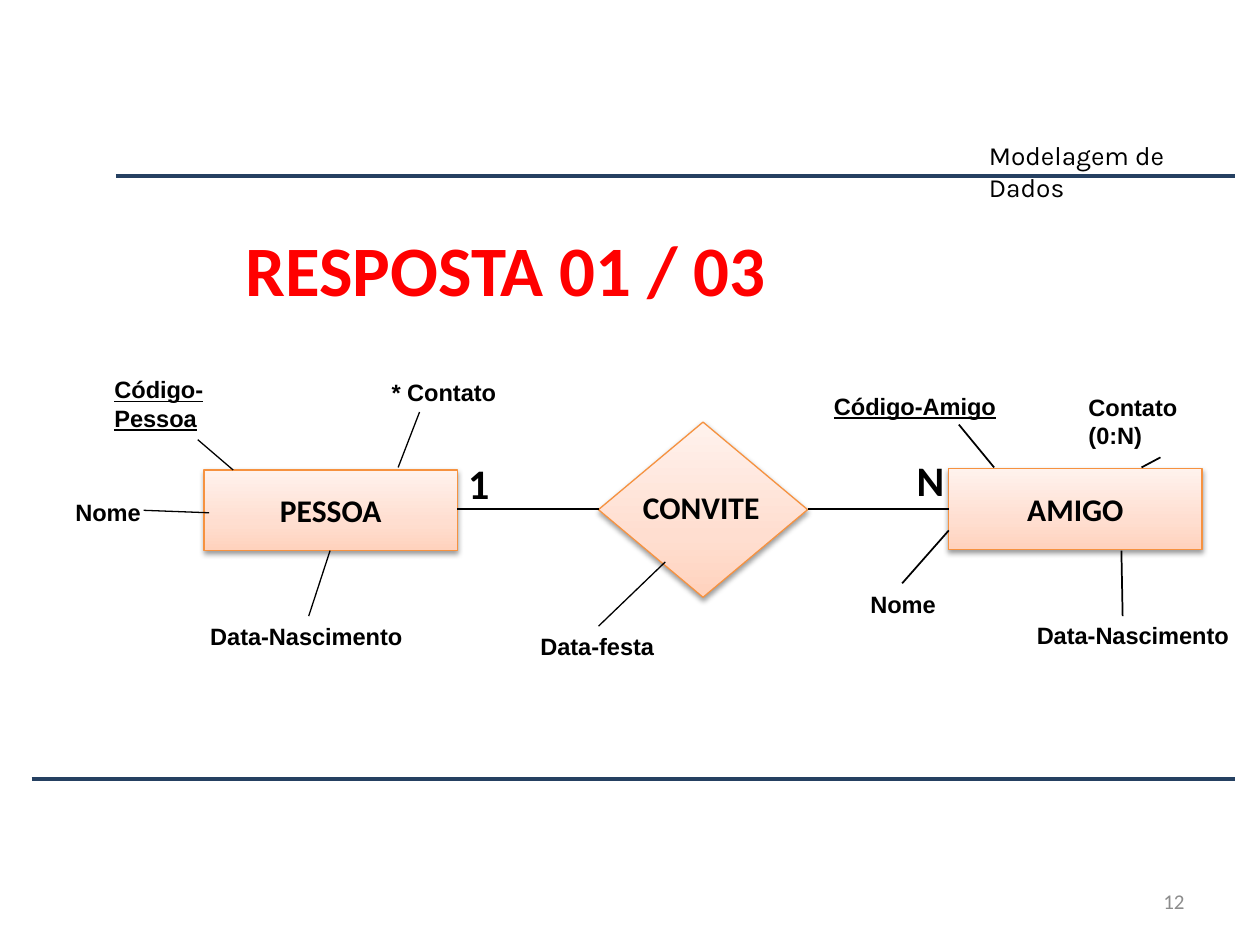
from typing import NamedTuple

import lxml.etree
import pptx
import pptx.dml.color
import pptx.enum.dml
import pptx.enum.shapes
import pptx.enum.text
import pptx.oxml.ns
import pptx.util

Color = pptx.dml.color.RGBColor
Align = pptx.enum.text.PP_ALIGN
Anchor = pptx.enum.text.MSO_ANCHOR
Preset = pptx.enum.shapes.MSO_SHAPE
qn = pptx.oxml.ns.qn

BLACK = Color(0x00, 0x00, 0x00)
RED = Color(0xFF, 0x00, 0x00)
NAVY = Color(0x25, 0x40, 0x61)
ORANGE = Color(0xF6, 0x92, 0x40)
GRAY = Color(0x8C, 0x8C, 0x8C)
GRADIENT = [
    (0, Color(0xFF, 0xD2, 0xBD)),
    (35, Color(0xFF, 0xDE, 0xD0)),
    (100, Color(0xFF, 0xF2, 0xED)),
]

# The page is a grid of 100 columns by 75 rows.
WIDTH, HEIGHT = pptx.util.Inches(10), pptx.util.Inches(7.5)
COLUMN, ROW = WIDTH / 100, HEIGHT / 75


class Area(NamedTuple):
    column: float
    row: float
    columns: float
    rows: float

    def lengths(self) -> tuple:
        return (round(self.column * COLUMN), round(self.row * ROW),
                round(self.columns * COLUMN), round(self.rows * ROW))


class Style(NamedTuple):
    size: float
    font: str = "Calibri"
    color: Color = BLACK
    bold: bool = True
    underline: bool = False
    align: Align = Align.CENTER
    anchor: Anchor = Anchor.TOP


class Label(NamedTuple):
    text: str
    area: Area
    style: Style


class Node(NamedTuple):
    preset: Preset
    area: Area
    text: str = ""


class Link(NamedTuple):
    start: tuple
    end: tuple
    weight: float = 0.75
    color: Color = BLACK


TITLE = Style(40.5, color=RED)
HEADER = Style(15, "Karla", bold=False, align=Align.LEFT)
NUMBER = Style(12, color=GRAY, bold=False, align=Align.RIGHT, anchor=Anchor.MIDDLE)
NAME = Style(18)
NODE_NAME = NAME._replace(anchor=Anchor.MIDDLE)
CARDINALITY = Style(24)
ATTRIBUTE = Style(13.5, "Arial", align=Align.LEFT)
KEY = ATTRIBUTE._replace(underline=True)

RULES = [
    Link((9.2, 14), (98, 14), 2.25, NAVY),
    Link((2.5, 61.8), (98, 61.8), 2.25, NAVY),
]
NODES = [
    Node(Preset.RECTANGLE, Area(16.2, 37.3, 20.1, 6.4), "PESSOA"),
    Node(Preset.DIAMOND, Area(47.5, 33.5, 16.6, 13.9)),
    Node(Preset.RECTANGLE, Area(75.3, 37.2, 20.1, 6.4), "AMIGO"),
]
LINKS = [
    # Relationship to its entities
    Link((36.3, 40.4), (47.5, 40.4)),
    Link((64.1, 40.4), (75.3, 40.4)),
    # PESSOA to its attributes
    Link((18.5, 37.3), (15.7, 34.9)),
    Link((31.6, 37.1), (33.3, 32.7)),
    Link((16.6, 40.7), (11.4, 40.5)),
    Link((26.2, 43.7), (24.5, 48.9)),
    # CONVITE to its attribute
    Link((52.8, 44.6), (47.5, 49.7)),
    # AMIGO to its attributes
    Link((78.9, 37.1), (76.1, 33.7), 1),
    Link((90.6, 37.1), (92.1, 36.3), 1),
    Link((75.3, 42.1), (71.6, 46.3), 1),
    Link((89, 43.7), (89.1, 48.9), 1),
]
LABELS = [
    Label("Modelagem de Dados", Area(77.5, 10.6, 20.8, 6.1), HEADER),
    Label("CONVITE", Area(48.7, 38.2, 13.9, 7.1), NAME),
    Label("1", Area(35.1, 35.8, 5.8, 5), CARDINALITY),
    Label("N", Area(71.6, 35.6, 4.5, 5), CARDINALITY),
    Label("Código-Pessoa", Area(8.1, 29.3, 15.2, 5.6), KEY),
    Label("Nome", Area(5, 39, 11.6, 3.3), ATTRIBUTE),
    Label("Data-Nascimento", Area(15.7, 48.9, 17.5, 3.3), ATTRIBUTE),
    Label("* Contato", Area(30.1, 29.5, 11.6, 3.3), ATTRIBUTE),
    Label("Data-festa", Area(41.9, 49.7, 11.1, 3.3), ATTRIBUTE),
    Label("Código-Amigo", Area(65.2, 30.6, 15.2, 3.3), KEY),
    Label("Nome", Area(68.1, 46.3, 11.6, 3.3), ATTRIBUTE),
    Label("Data-Nascimento", Area(81.3, 48.8, 17.5, 3.3), ATTRIBUTE),
    Label("Contato (0:N)", Area(85.4, 30.7, 13.5, 5.6), ATTRIBUTE),
    Label("12", Area(71.7, 69.5, 23.3, 4), NUMBER),
]


def write(box, text: str, style: Style) -> None:
    frame = box.text_frame
    frame.word_wrap = True
    frame.auto_size = pptx.enum.text.MSO_AUTO_SIZE.NONE
    frame.vertical_anchor = style.anchor
    para = frame.paragraphs[0]
    para.alignment = style.align
    span = para.add_run()
    span.text = text
    span.font.name = style.font
    span.font.size = pptx.util.Pt(style.size)
    span.font.bold = style.bold
    span.font.underline = style.underline
    span.font.color.rgb = style.color


def add_title(page, text: str, area: Area) -> None:
    title = page.shapes.title
    title.left, title.top, title.width, title.height = area.lengths()
    write(title, text, TITLE)


def add_label(page, label: Label) -> None:
    write(page.shapes.add_textbox(*label.area.lengths()), label.text, label.style)


def add_link(page, link: Link) -> None:
    ends = [round(value * unit) for point in (link.start, link.end)
            for value, unit in zip(point, (COLUMN, ROW))]
    line = page.shapes.add_connector(
        pptx.enum.shapes.MSO_CONNECTOR.STRAIGHT, *ends)
    line.line.color.rgb = link.color
    line.line.width = pptx.util.Pt(link.weight)
    lxml.etree.SubElement(line._element.spPr, qn("a:effectLst"))


def add_color(parent, color: Color):
    return lxml.etree.SubElement(parent, qn("a:srgbClr"), val=str(color))


def fill_gradient(shape) -> None:
    shape.fill.gradient()
    shape.fill.gradient_angle = 90
    stops = shape._element.spPr.find(".//" + qn("a:gsLst"))
    for stop in list(stops):
        stops.remove(stop)
    for percent, color in GRADIENT:
        add_color(lxml.etree.SubElement(
            stops, qn("a:gs"), pos=str(percent * 1000)), color)


def add_soft_shadow(shape) -> None:
    shape.shadow.inherit = False
    effects = shape._element.spPr.find(qn("a:effectLst"))
    shadow = lxml.etree.SubElement(
        effects, qn("a:outerShdw"), blurRad=str(pptx.util.Pt(3.1)),
        dist=str(pptx.util.Pt(1.6)), dir="5400000", rotWithShape="0")
    lxml.etree.SubElement(add_color(shadow, BLACK), qn("a:alpha"), val="38000")


def add_node(page, node: Node) -> None:
    shape = page.shapes.add_shape(node.preset, *node.area.lengths())
    fill_gradient(shape)
    shape.line.color.rgb = ORANGE
    shape.line.width = pptx.util.Pt(0.75)
    add_soft_shadow(shape)
    if node.text:
        write(shape, node.text, NODE_NAME)


def main() -> None:
    deck = pptx.Presentation()
    deck.slide_width, deck.slide_height = WIDTH, HEIGHT
    page = deck.slides.add_slide(deck.slide_layouts.get_by_name("Title Only"))
    add_title(page, "RESPOSTA 01 / 03", Area(17.6, 17.4, 45.1, 7.8))
    for rule in RULES:
        add_link(page, rule)
    for node in NODES:
        add_node(page, node)
    for link in LINKS:
        add_link(page, link)
    for label in LABELS:
        add_label(page, label)
    deck.save("out.pptx")


if __name__ == "__main__":
    main()
